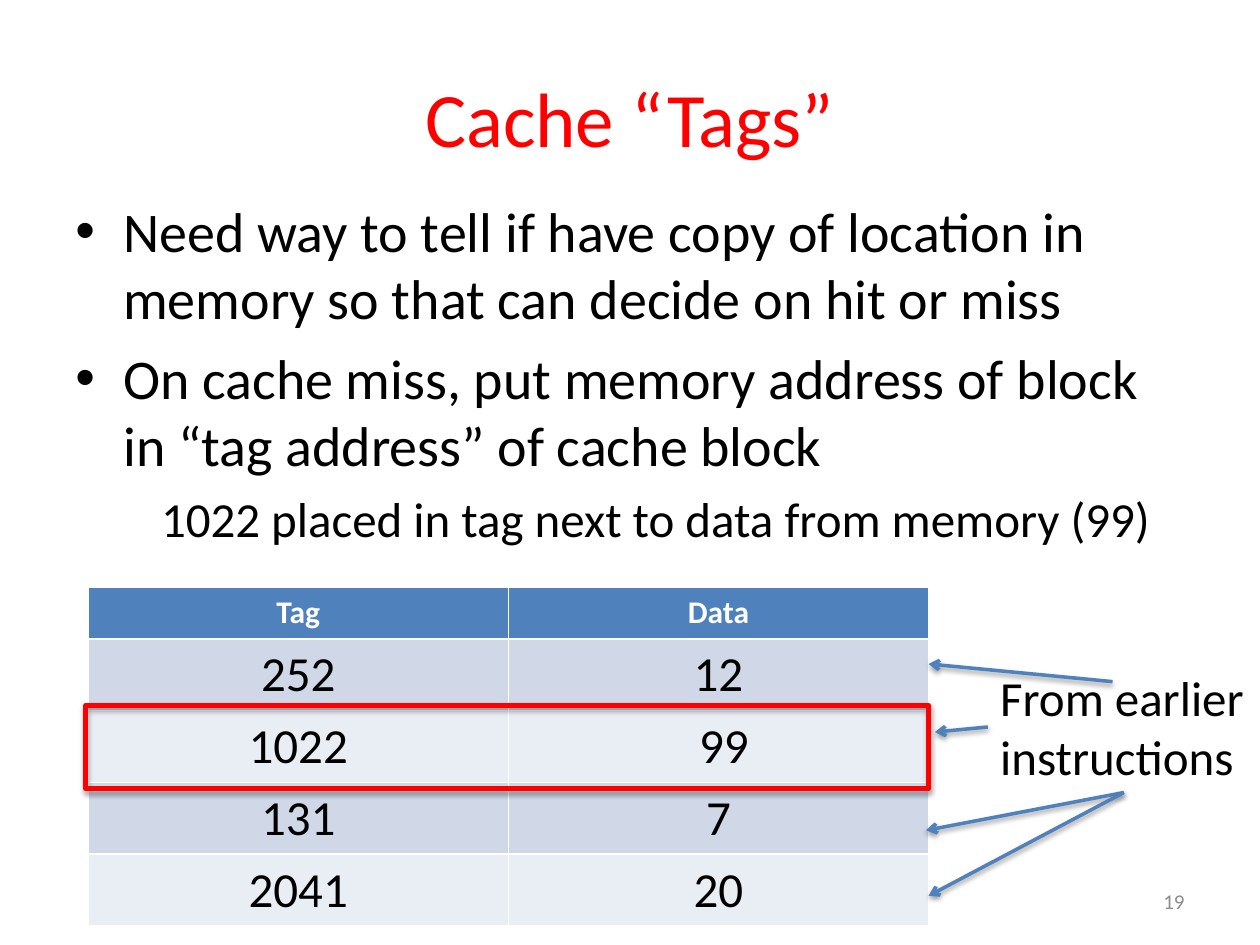
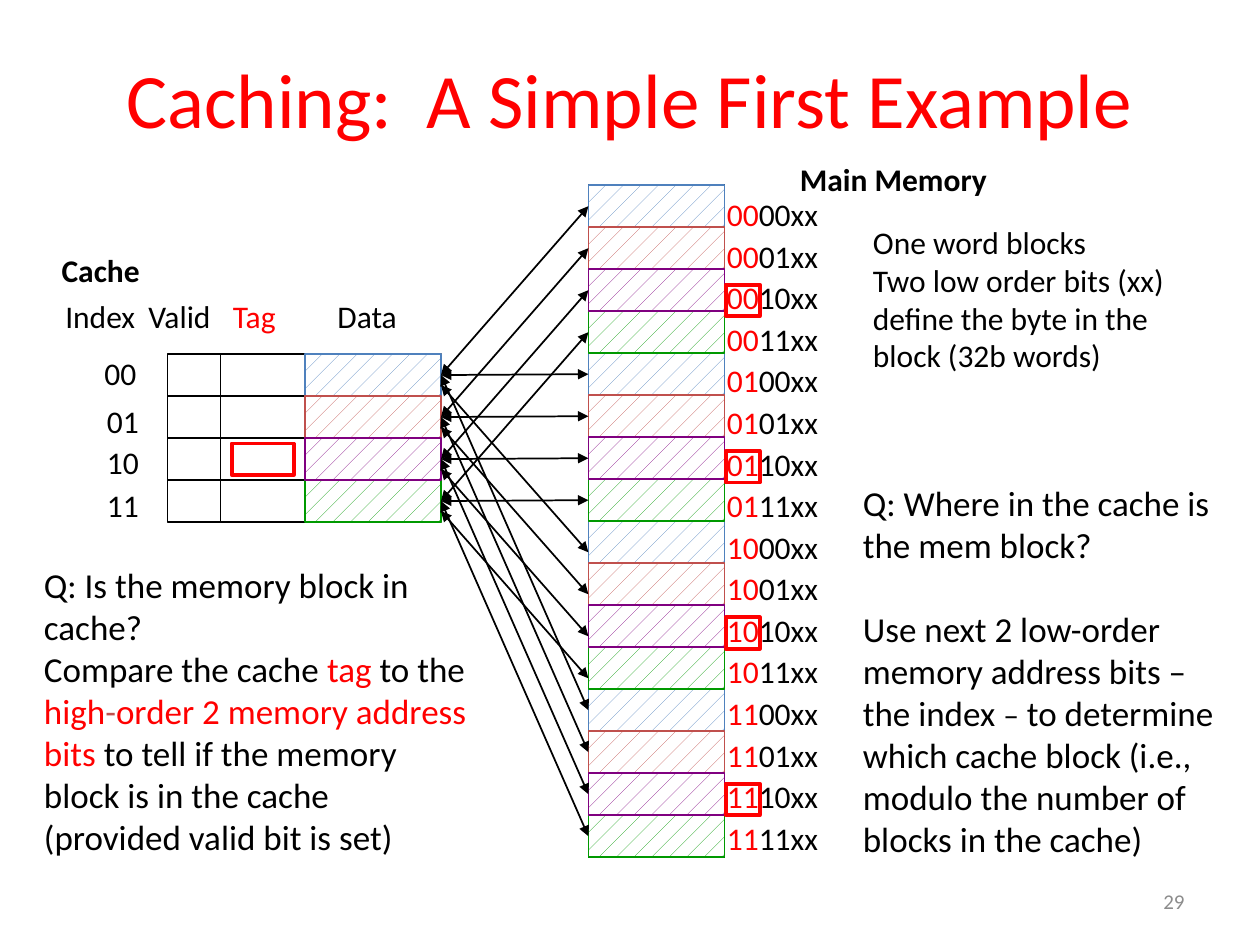
from lxml import etree
from pptx import Presentation
from pptx.dml.color import RGBColor
from pptx.enum.dml import MSO_PATTERN
from pptx.enum.shapes import MSO_CONNECTOR, MSO_SHAPE
from pptx.enum.text import MSO_ANCHOR, PP_ALIGN
from pptx.oxml.ns import qn
from pptx.util import Inches, Pt

STRAIGHT = MSO_CONNECTOR.STRAIGHT
RECTANGLE = MSO_SHAPE.RECTANGLE
DOTS = MSO_PATTERN.PERCENT_5
MIDDLE = MSO_ANCHOR.MIDDLE
CENTER, RIGHT = PP_ALIGN.CENTER, PP_ALIGN.RIGHT

FONT = "Calibri"
BLACK, WHITE, RED, GRAY = "000000", "FFFFFF", "FF0000", "8C8C8C"
BLUE, BRICK, PURPLE, GREEN = "4F81BD", "C0504D", "800080", "009900"
BANDS = ("D0D8E8", "E9EDF4")
BOX_SHADOW = {"opacity": 35, "blur": 3.1, "distance": 1.8}
LINE_SHADOW = {"opacity": 38, "blur": 3.1, "distance": 1.6}

# Cache "Tags": (text, size, left margin, first-line indent, space before, bullet)
TAG_POINTS = [
    ("Need way to tell if have copy of location in memory so that can decide on hit or miss",
     32, 0.38, -0.38, 7, "•"),
    ("On cache miss, put memory address of block in “tag address” of cache block",
     32, 0.38, -0.38, 7, "•"),
    ("1022 placed in tag next to data from memory (99)", 28, 0.68, 0, 6, None),
]
TAG_TABLE = [("Tag", "Data"), ("252", "12"), ("1022", " 99"), ("131", "7"), ("2041", "20")]
EARLIER_ARROWS = [
    ((8.83, 5.41), (7.37, 5.27)),
    ((8.92, 6.29), (7.35, 6.59)),
    ((8.92, 6.29), (7.37, 7.11)),
    ((7.84, 5.77), (7.42, 5.81)),
]

# Caching example: a row of the cache and of the memory has the same height
ROW = 1 / 3
CACHE_TOP, MEMORY_TOP = 2.81, 1.47
MEMORY_LEFT, DATA_LEFT, BLOCK_WIDTH = 4.67, 2.42, 1.08
DATA_RIGHT, MEMORY_RIGHT = DATA_LEFT + BLOCK_WIDTH, MEMORY_LEFT + BLOCK_WIDTH
CACHE_COLUMNS = [(DATA_LEFT, BLOCK_WIDTH), (1.75, 0.67), (1.33, 0.42)]
BLOCK_COLORS = [BLUE, BRICK, PURPLE, GREEN]
BIT_PAIRS = ["00", "01", "10", "11"]
GROUP_OFFSETS = [0, 0, 0.08, 0]  # shift of the arrows of each group of four memory blocks
LABELS = [  # text, left, top, width, colour, bold
    ("Cache", 0.39, 1.94, 0.95, BLACK, True),
    ("Main Memory", 6.25, 1.22, 1.8, BLACK, True),
    ("Index", 0.42, 2.31, 0.81, BLACK, False),
    ("Valid", 1.08, 2.31, 0.76, BLACK, False),
    ("Tag", 1.75, 2.31, 0.54, RED, False),
    ("Data", 2.58, 2.31, 0.73, BLACK, False),
    ("00", 0.73, 2.76, 0.48, BLACK, False),
    ("01", 0.75, 3.14, 0.48, BLACK, False),
    ("10", 0.75, 3.47, 0.48, BLACK, False),
    ("11", 0.75, 3.81, 0.48, BLACK, False),
]
WHERE_QUESTION = [
    "Q: Where in the cache is the mem block?",
    [("Use next 2 low-order memory address bits – the index ", {}), ("–", {"size": 18}),
     (" to determine which cache block (i.e., modulo the number of blocks in the cache)", {})],
]
HIT_QUESTION = [
    "Q: Is the memory block in cache?",
    [("Compare the cache ", {}), ("tag ", {"color": RED}), ("to the ", {}),
     ("high", {"color": RED}), ("-", {"color": BRICK}),
     ("order 2 memory address bits ", {"color": RED}),
     ("to tell if the memory block is in the cache", {})],
    "(provided valid bit is set)",
]
BLOCK_NOTE = [
    "One word blocks",
    "Two low order bits (xx) define the byte in the block (32b words)",
]


def rgb(color):
    return RGBColor.from_string(color)


def inches(values):
    return [Inches(value) for value in values]


def add_effects(shape, shadow):
    """Replace the theme shadow by the given one, or by none."""
    effects = etree.SubElement(shape._element.spPr, qn("a:effectLst"))
    if shadow:
        outer = etree.SubElement(effects, qn("a:outerShdw"), {
            "blurRad": str(Pt(shadow["blur"])), "dist": str(Pt(shadow["distance"])),
            "dir": "5400000", "rotWithShape": "0"})
        tint = etree.SubElement(outer, qn("a:srgbClr"), val=BLACK)
        etree.SubElement(tint, qn("a:alpha"), val=str(shadow["opacity"] * 1000))


def write_runs(para, content, size=18, color=BLACK, bold=False):
    """Fill a paragraph with a string or with (text, changes) pairs."""
    for text, changes in [(content, {})] if isinstance(content, str) else content:
        look = {"size": size, "color": color, "bold": bold, **changes}
        span = para.add_run()
        span.text = text
        span.font.color.rgb = rgb(look["color"])
        formats = {"name": FONT, "size": Pt(look["size"]), "bold": look["bold"]}
        for name, value in formats.items():
            setattr(span.font, name, value)


def add_text(page, area, paragraphs, wrap=True, anchor=None, para_format=None, **look):
    box = page.shapes.add_textbox(*inches(area))
    frame = box.text_frame
    frame.word_wrap = wrap
    if anchor is not None:
        frame.vertical_anchor = anchor
    for number, content in enumerate(paragraphs):
        para = frame.add_paragraph() if number else frame.paragraphs[0]
        for name, value in (para_format or {}).items():
            setattr(para, name, value)
        write_runs(para, content, **look)
    return frame.paragraphs


def add_box(page, area, color, width=1, pattern=False, shadow=None):
    box = page.shapes.add_shape(RECTANGLE, *inches(area))
    if pattern:
        box.fill.patterned()
        box.fill.pattern = DOTS
        box.fill.fore_color.rgb = rgb(color)
        box.fill.back_color.rgb = rgb(WHITE)
    else:
        box.fill.background()
    box.line.color.rgb = rgb(color)
    box.line.width = Pt(width)
    add_effects(box, shadow)


def add_line(page, start, end, color=BLACK, width=1, head=None, tail=None, shadow=None):
    line = page.shapes.add_connector(STRAIGHT, *inches(start + end))
    line.line.color.rgb = rgb(color)
    line.line.width = Pt(width)
    outline = line.line._get_or_add_ln()
    for tag, kind in (("a:headEnd", head), ("a:tailEnd", tail)):
        if kind:
            etree.SubElement(outline, qn(tag), type=kind)
    add_effects(line, shadow)


def add_page(deck, title, title_height, number):
    page = deck.slides.add_slide(deck.slide_layouts[6])
    add_text(page, (0.5, 0.3, 9, title_height), [title], anchor=MIDDLE,
             para_format={"alignment": CENTER}, size=44, color=RED)
    add_text(page, (7.17, 6.95, 2.33, 0.4), [number], anchor=MIDDLE,
             para_format={"alignment": RIGHT}, size=12, color=GRAY)
    return page


def add_tag_points(page):
    paras = add_text(page, (0.5, 1.51, 9, 3.07), [""] * len(TAG_POINTS))
    for para, (text, size, margin, indent, before, bullet) in zip(paras, TAG_POINTS):
        para.runs[0].text = text
        para.runs[0].font.size = Pt(size)
        para.space_before = Pt(before)
        properties = para._p.get_or_add_pPr()
        properties.set("marL", str(Inches(margin)))
        properties.set("indent", str(Inches(indent)))
        if bullet:
            etree.SubElement(properties, qn("a:buFont"), typeface="Arial")
            etree.SubElement(properties, qn("a:buChar"), char=bullet)


def add_tag_table(page):
    frame = page.shapes.add_table(len(TAG_TABLE), 2, *inches((0.7, 4.66, 6.67, 2.67)))
    table = frame.table
    for row_number, values in enumerate(TAG_TABLE):
        header = row_number == 0
        table.rows[row_number].height = Inches(0.41 if header else 0.57)
        for column_number, value in enumerate(values):
            cell = table.cell(row_number, column_number)
            cell.fill.solid()
            cell.fill.fore_color.rgb = rgb(BLUE if header else BANDS[(row_number - 1) % 2])
            para = cell.text_frame.paragraphs[0]
            para.alignment = CENTER
            write_runs(para, value, size=18 if header else 28,
                       color=WHITE if header else BLACK, bold=header)


def build_tags_page(deck):
    page = add_page(deck, "Cache “Tags”", 1.25, "19")
    add_tag_points(page)
    add_tag_table(page)
    add_box(page, (0.68, 5.6, 6.69, 0.66), RED, 3, shadow=BOX_SHADOW)
    for start, end in EARLIER_ARROWS:
        add_line(page, start, end, BLUE, 2, tail="arrow", shadow=LINE_SHADOW)
    add_text(page, (7.84, 5.25, 2.16, 1.04), ["From earlier", "instructions"],
             wrap=False, size=28)


def add_cache_and_memory(page):
    for left, width in CACHE_COLUMNS:
        add_box(page, (left, CACHE_TOP, width, 4 * ROW), BLACK)
        for row in (1, 2, 3):
            y = CACHE_TOP + row * ROW
            add_line(page, (left, y), (left + width, y))
    for row in range(17):
        y = MEMORY_TOP + row * ROW
        add_line(page, (MEMORY_LEFT, y), (MEMORY_RIGHT, y))
    for x in (MEMORY_LEFT, MEMORY_RIGHT):
        add_line(page, (x, MEMORY_TOP), (x, MEMORY_TOP + 16 * ROW))
    for index in (0, 3, 1, 2):
        color = BLOCK_COLORS[index]
        places = [(DATA_LEFT, CACHE_TOP + index * ROW)]
        places += [(MEMORY_LEFT, MEMORY_TOP + row * ROW) for row in range(index, 16, 4)]
        for left, top in places:
            add_box(page, (left, top, BLOCK_WIDTH, ROW), color, pattern=True)


def add_mapping_arrows(page):
    """Join every memory block to the cache row given by its number modulo four."""
    for block in range(16):
        group, index = divmod(block, 4)
        shift = ROW / 2 + GROUP_OFFSETS[group]
        add_line(page, (MEMORY_LEFT, MEMORY_TOP + block * ROW + shift),
                 (DATA_RIGHT, CACHE_TOP + index * ROW + shift),
                 head="triangle", tail="triangle")


def build_example_page(deck):
    page = add_page(deck, "Caching:  A Simple First Example", 0.95, "29")
    add_cache_and_memory(page)
    add_mapping_arrows(page)
    for text, left, top, width, color, bold in LABELS:
        add_text(page, (left, top, width, 0.4), [text], wrap=False, color=color, bold=bold)
    addresses = [[(tag, {"color": RED}), (index + "xx", {})]
                 for tag in BIT_PAIRS for index in BIT_PAIRS]
    add_text(page, (5.67, 1.47, 1.08, 5.38), addresses, para_format={"line_spacing": 1.1})
    add_text(page, (6.83, 1.72, 2.75, 1.31), BLOCK_NOTE)
    where = add_text(page, (6.75, 3.77, 3, 3.13), WHERE_QUESTION, size=20)
    where[1].space_before = Pt(24)
    add_text(page, (0.25, 4.42, 3.59, 2.46), HIT_QUESTION, size=20)
    add_box(page, (1.84, 3.52, 0.49, 0.25), RED, 2.25)
    for group in range(4):
        add_box(page, (5.76, 2.26 + 1.32 * group, 0.27, 0.25), RED, 2.25)


def main():
    deck = Presentation()
    deck.slide_width, deck.slide_height = Inches(10), Inches(7.5)
    build_tags_page(deck)
    build_example_page(deck)
    deck.save("out.pptx")


if __name__ == "__main__":
    main()
